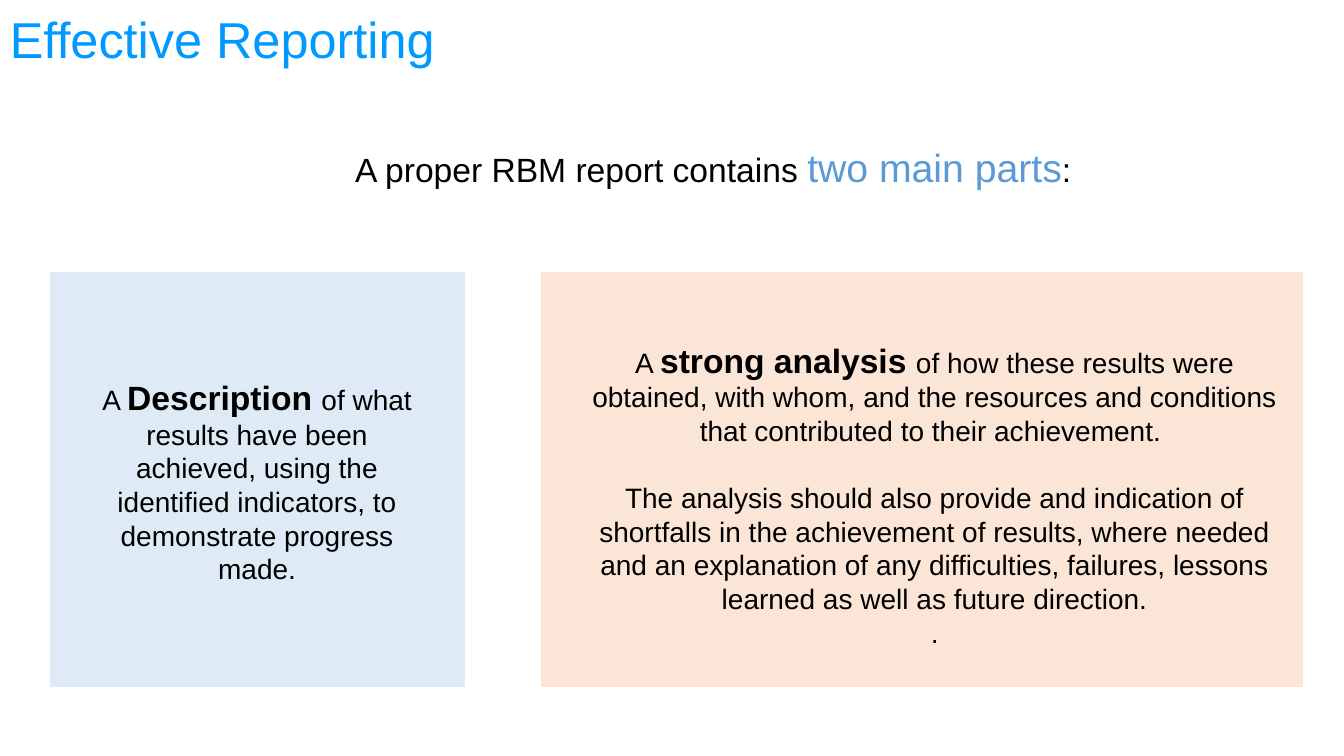
from dataclasses import dataclass

from pptx import Presentation
from pptx.dml.color import RGBColor
from pptx.enum.shapes import MSO_SHAPE
from pptx.enum.text import MSO_ANCHOR, PP_ALIGN
from pptx.util import Pt

PX = 9144
RECT = MSO_SHAPE.RECTANGLE
TOP, MIDDLE = MSO_ANCHOR.TOP, MSO_ANCHOR.MIDDLE
LEFT, CENTER = PP_ALIGN.LEFT, PP_ALIGN.CENTER


@dataclass(frozen=True)
class Theme:
    """Hold the colours, font and type sizes of the slide."""
    font: str = "Arial"
    title: str = "0099FF"
    accent: str = "5B9BD5"
    ink: str = "000000"
    white: str = "FFFFFF"
    blue: str = "DEEBF7"
    peach: str = "FBE5D6"
    head: int = 36
    large: int = 28
    lead: int = 24
    body: int = 20


THEME = Theme()


def color(code):
    """Turn a hex code into a colour."""
    return RGBColor.from_string(code)


def plain(text):
    """Describe a run of body text."""
    return text, THEME.body, THEME.ink, False


def strong(text):
    """Describe a run of bold lead text."""
    return text, THEME.lead, THEME.ink, True


def add_text(slide, area, paras, align=CENTER, anchor=TOP, line=None, gaps=()):
    """Add a text box of formatted runs with optional gaps before paragraphs."""
    frame = slide.shapes.add_textbox(*(n * PX for n in area)).text_frame
    frame.word_wrap = True
    frame.vertical_anchor = anchor
    gaps = dict(gaps)
    for i, runs in enumerate(paras):
        para = frame.add_paragraph() if i else frame.paragraphs[0]
        para.alignment = align
        if line:
            para.line_spacing = line
        if i in gaps:
            para.space_before = Pt(gaps[i])
        for text, size, code, bold in runs:
            run = para.add_run()
            run.text = text
            run.font.name = THEME.font
            run.font.size = Pt(size)
            run.font.bold = bold
            run.font.color.rgb = color(code)


def add_panel(slide, area, code):
    """Add a filled panel with a thin white outline."""
    panel = slide.shapes.add_shape(RECT, *(n * PX for n in area))
    panel.shadow.inherit = False
    panel.fill.solid()
    panel.fill.fore_color.rgb = color(code)
    panel.line.color.rgb = color(THEME.white)
    panel.line.width = Pt(1)


def main():
    """Build the slide and save it."""
    deck = Presentation()
    deck.slide_width, deck.slide_height = 1333 * PX, 750 * PX
    slide = deck.slides.add_slide(deck.slide_layouts[6])

    title = [("Effective Reporting", THEME.head, THEME.title, False)]
    add_text(slide, (0, 0, 1333, 84), [title], LEFT, MIDDLE, 0.9)

    intro = [
        ("A proper RBM report contains ", THEME.lead, THEME.ink, False),
        ("two main parts", THEME.large, THEME.accent, False),
        (": ", THEME.lead, THEME.ink, False),
    ]
    add_text(slide, (266, 143, 892, 68), [intro], line=0.9)

    add_panel(slide, (49, 269, 413, 413), THEME.blue)
    add_text(slide, (80, 369, 350, 226), [[
        plain("A "),
        strong("Description "),
        plain("of what results have been achieved, using the identified "
              "indicators, to demonstrate progress made."),
    ]])

    add_panel(slide, (536, 269, 757, 413), THEME.peach)
    add_text(slide, (561, 332, 732, 326), [
        [
            plain("A "),
            strong("strong analysis "),
            plain("of how these results were obtained, with whom, and the "
                  "resources and conditions that contributed to their "
                  "achievement. "),
        ],
        [plain("The analysis should also provide and indication of shortfalls "
               "in the achievement of results, where needed and an explanation "
               "of any difficulties, failures, lessons learned as well as "
               "future direction.")],
        [plain(".")],
    ], gaps={1: 24})

    deck.save("out.pptx")


if __name__ == "__main__":
    main()
